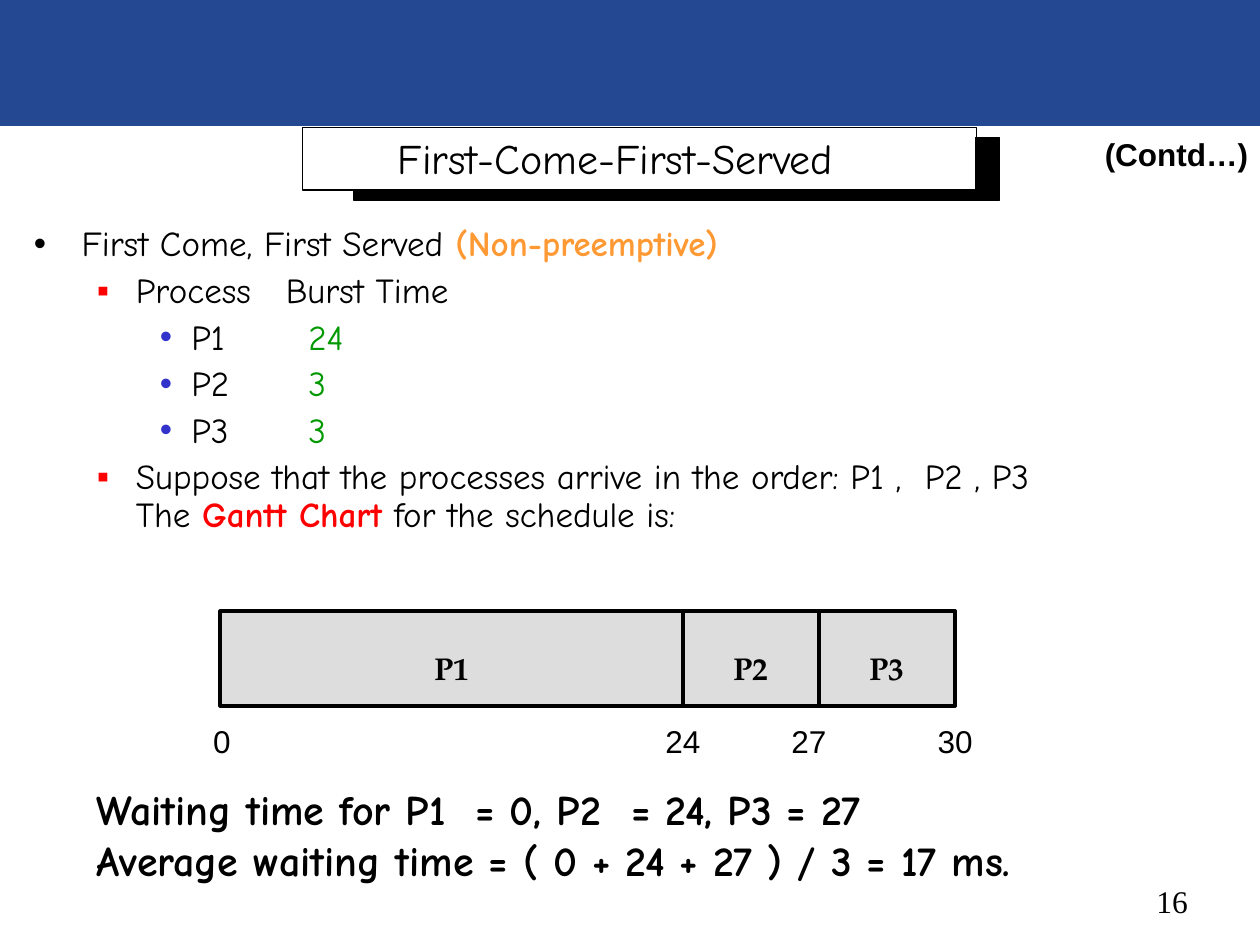
from dataclasses import dataclass

from lxml.etree import SubElement
from pptx import Presentation
from pptx.dml.color import RGBColor
from pptx.enum.shapes import MSO_SHAPE
from pptx.enum.text import MSO_ANCHOR, PP_ALIGN
from pptx.oxml.ns import qn
from pptx.util import Inches, Pt


@dataclass(frozen=True)
class Theme:
    black: str = "000000"
    banner: str = "244992"
    bar: str = "DDDDDD"
    orange: str = "FF9933"
    red: str = "FF0000"
    green: str = "009900"
    blue: str = "3333CC"
    hand: str = "Comic Neue"
    sans: str = "Arial"
    serif: str = "Times New Roman"
    book: str = "TeX Gyre Pagella"
    heading: int = 24
    body: int = 20
    label: int = 18


@dataclass(frozen=True)
class Level:
    margin: float
    hanging: float
    bullet: str
    color: str
    tab: float


class SlideBuilder:
    def __init__(self, slide, theme):
        self.slide = slide
        self.theme = theme

    def box(self, left, top, width, height, fill=None, line=None, line_width=0.75):
        rect = self.slide.shapes.add_shape(
            MSO_SHAPE.RECTANGLE, Inches(left), Inches(top), Inches(width), Inches(height))
        rect.shadow.inherit = False
        if fill:
            rect.fill.solid()
            rect.fill.fore_color.rgb = RGBColor.from_string(fill)
        else:
            rect.fill.background()
        if line:
            rect.line.color.rgb = RGBColor.from_string(line)
            rect.line.width = Pt(line_width)
        else:
            rect.line.fill.background()
        return rect

    def text_frame(self, left, top, width, height, wrap=True, anchor=MSO_ANCHOR.TOP):
        frame = self.slide.shapes.add_textbox(
            Inches(left), Inches(top), Inches(width), Inches(height)).text_frame
        frame.word_wrap = wrap
        frame.vertical_anchor = anchor
        return frame

    def run(self, paragraph, words, font, size, bold=False, color=None):
        run = paragraph.add_run()
        run.text = words
        run.font.name = font
        run.font.size = Pt(size)
        run.font.bold = bold
        run.font.color.rgb = RGBColor.from_string(color or self.theme.black)

    def label(self, left, top, width, height, words, font, size, bold=False,
              align=PP_ALIGN.LEFT, **frame_options):
        frame = self.text_frame(left, top, width, height, **frame_options)
        paragraph = frame.paragraphs[0]
        paragraph.alignment = align
        self.run(paragraph, words, font, size, bold)

    def bullet(self, paragraph, level):
        props = paragraph._p.get_or_add_pPr()
        props.set("marL", str(Inches(level.margin)))
        props.set("indent", str(-Inches(level.hanging)))
        color = SubElement(props, qn("a:buClr"))
        SubElement(color, qn("a:srgbClr"), val=level.color)
        SubElement(props, qn("a:buFont"), typeface=self.theme.sans)
        SubElement(props, qn("a:buChar"), char=level.bullet)
        tabs = SubElement(props, qn("a:tabLst"))
        SubElement(tabs, qn("a:tab"), pos=str(Inches(level.tab)), algn="l")
        paragraph.line_spacing = 0.9
        paragraph.space_before = Pt(5)

    def outline(self, left, top, width, height, items):
        """Each item is a level and its lines; a line is a list of (words, color, bold)."""
        frame = self.text_frame(left, top, width, height)
        for index, (level, lines) in enumerate(items):
            paragraph = frame.paragraphs[0] if index == 0 else frame.add_paragraph()
            self.bullet(paragraph, level)
            for number, line in enumerate(lines):
                if number:
                    paragraph.add_line_break()
                for words, color, bold in line:
                    self.run(paragraph, words, self.theme.hand, self.theme.body, bold, color)

    def gantt_bar(self, left, top, width, height, process):
        theme = self.theme
        bar = self.box(left, top, width, height, theme.bar, theme.black, 2.25)
        frame = bar.text_frame
        frame.word_wrap = False
        frame.vertical_anchor = MSO_ANCHOR.MIDDLE
        paragraph = frame.paragraphs[0]
        paragraph.alignment = PP_ALIGN.CENTER
        paragraph.line_spacing = 1.5
        self.run(paragraph, process, theme.book, theme.label, True)


def main():
    deck = Presentation()
    deck.slide_width, deck.slide_height = Inches(10), Inches(7.5)
    theme = Theme()
    page = SlideBuilder(deck.slides.add_slide(deck.slide_layouts[6]), theme)

    # Page number and banner
    page.label(9.08, 6.95, 0.58, 0.4, "16", theme.serif, theme.label)
    page.box(0, 0, 10, 1, theme.banner)

    # Title with its hard shadow
    page.label(3.06, 1, 4.6, 0.5, "First-Come-First-Served", theme.hand, theme.heading)
    page.box(2.4, 1.01, 5.35, 0.5, line=theme.black)
    for shadow in ((2.81, 1.51, 4.94, 0.08), (7.74, 1.09, 0.19, 0.5)):
        page.box(*shadow, theme.black, theme.black)
    page.label(8.67, 1.02, 1.34, 0.4, "(Contd…)", theme.sans, theme.label, True, wrap=False)

    # Process list
    topic = Level(0.38, 0.38, "•", theme.black, 1)
    point = Level(0.81, 0.31, "▪", theme.red, 2)
    detail = Level(1.25, 0.25, "•", theme.blue, 2.18)
    burst_times = {"P1": 24, "P2": 3, "P3": 3}
    process_items = [
        (detail, [[(f"{process}\t", theme.black, False), (str(burst), theme.green, False)]])
        for process, burst in burst_times.items()
    ]
    page.outline(0.17, 1.75, 9.67, 2.75, [
        (topic, [[("First Come, First Served ", theme.black, False),
                  ("(Non-preemptive)", theme.orange, True)]]),
        (point, [[("Process\tBurst Time", theme.black, False)]]),
        *process_items,
        (point, [[("Suppose that the processes arrive in the order: P1 ,  P2 , P3",
                   theme.black, False)],
                 [("The ", theme.black, False), ("Gantt Chart", theme.red, True),
                  (" for the schedule is:", theme.black, False)]]),
    ])

    # Gantt chart
    label_width = 0.48
    time_centers = {0: 1.76, 24: 5.42, 27: 6.42, 30: 7.58}
    for time, center in time_centers.items():
        page.label(center - label_width / 2, 5.68, label_width, 0.4, str(time), theme.sans,
                   theme.label, align=PP_ALIGN.CENTER, wrap=False, anchor=MSO_ANCHOR.MIDDLE)
    bar_edges = [1.75, 5.42, 6.5, 7.58]
    for process, start, end in zip(burst_times, bar_edges, bar_edges[1:]):
        page.gantt_bar(start, 4.85, end - start, 0.75, process)

    # Waiting times
    results = page.text_frame(0.67, 6.17, 9, 1.08)
    waiting, average = results.paragraphs[0], results.add_paragraph()
    for paragraph, words in (
        (waiting, "Waiting time for P1  = 0, P2  = 24, P3 = 27"),
        (average, "Average waiting time = ( 0 + 24 + 27 ) / 3 = 17 ms."),
    ):
        page.run(paragraph, words, theme.hand, theme.heading, True)

    deck.save("out.pptx")


if __name__ == "__main__":
    main()
